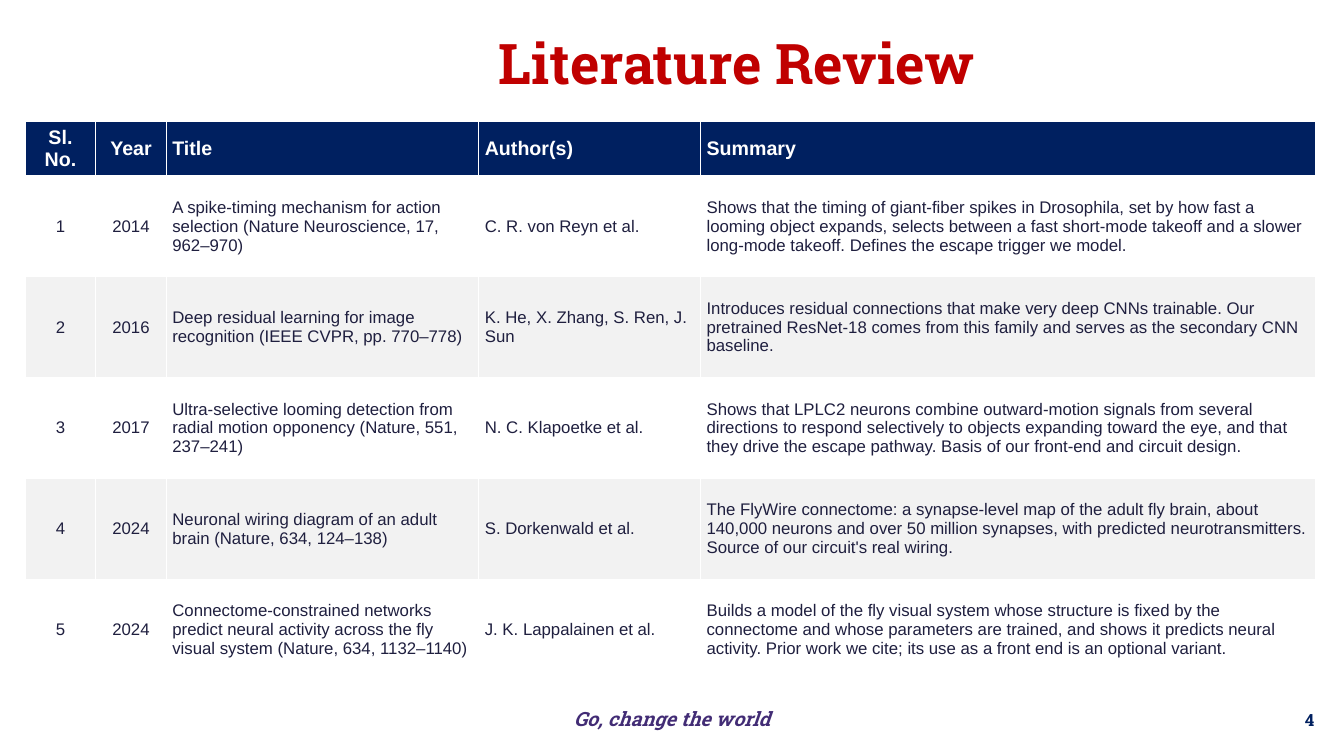
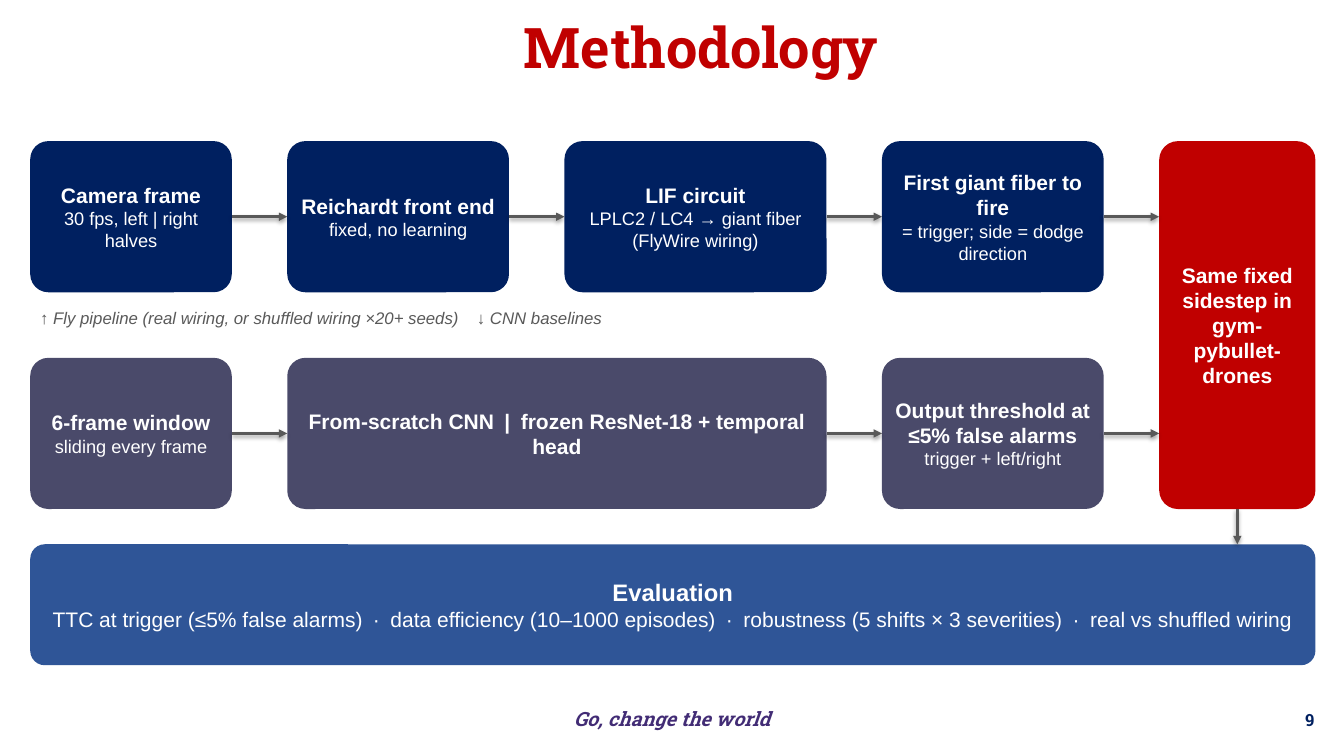
from lxml import etree
from pptx import Presentation
from pptx.dml.color import RGBColor
from pptx.enum import dml, shapes, text
from pptx.oxml.ns import qn
from pptx.util import Pt

NAVY = RGBColor(0x00, 0x20, 0x60)
RED = RGBColor(0xC0, 0x00, 0x00)
SLATE = RGBColor(0x4A, 0x4A, 0x6A)
BLUE = RGBColor(0x2F, 0x55, 0x97)
PURPLE = RGBColor(0x42, 0x2C, 0x75)
GREY = RGBColor(0x59, 0x59, 0x59)
INK = RGBColor(0x1F, 0x1F, 0x3F)
PALE = RGBColor(0xF2, 0xF2, 0xF2)
WHITE = RGBColor(0xFF, 0xFF, 0xFF)

BODY_FONT = "Arial"
DISPLAY_FONT = "Roboto Slab"
LEFT, CENTER, RIGHT = text.PP_ALIGN.LEFT, text.PP_ALIGN.CENTER, text.PP_ALIGN.RIGHT
EN_SPACE = chr(0x2002)

COLUMN_WIDTHS = (50.4, 50.4, 223.2, 158.4, 439.2)
COLUMN_ALIGNMENTS = (CENTER, CENTER, LEFT, LEFT, LEFT)
HEADER_HEIGHT, ROW_HEIGHT = 32.4, 72
PAPERS = (
    ("Sl. No.", "Year", "Title", "Author(s)", "Summary"),
    ("1", "2014",
     "A spike-timing mechanism for action selection (Nature Neuroscience, 17, 962–970)",
     "C. R. von Reyn et al.",
     "Shows that the timing of giant-fiber spikes in Drosophila, set by how fast a looming "
     "object expands, selects between a fast short-mode takeoff and a slower long-mode "
     "takeoff. Defines the escape trigger we model."),
    ("2", "2016",
     "Deep residual learning for image recognition (IEEE CVPR, pp. 770–778)",
     "K. He, X. Zhang, S. Ren, J. Sun",
     "Introduces residual connections that make very deep CNNs trainable. Our pretrained "
     "ResNet-18 comes from this family and serves as the secondary CNN baseline."),
    ("3", "2017",
     "Ultra-selective looming detection from radial motion opponency (Nature, 551, 237–241)",
     "N. C. Klapoetke et al.",
     "Shows that LPLC2 neurons combine outward-motion signals from several directions to "
     "respond selectively to objects expanding toward the eye, and that they drive the "
     "escape pathway. Basis of our front-end and circuit design."),
    ("4", "2024",
     "Neuronal wiring diagram of an adult brain (Nature, 634, 124–138)",
     "S. Dorkenwald et al.",
     "The FlyWire connectome: a synapse-level map of the adult fly brain, about 140,000 "
     "neurons and over 50 million synapses, with predicted neurotransmitters. Source of our "
     "circuit's real wiring."),
    ("5", "2024",
     "Connectome-constrained networks predict neural activity across the fly visual system "
     "(Nature, 634, 1132–1140)",
     "J. K. Lappalainen et al.",
     "Builds a model of the fly visual system whose structure is fixed by the connectome and "
     "whose parameters are trained, and shows it predicts neural activity. Prior work we "
     "cite; its use as a front end is an optional variant."),
)


def separated(mark, *parts):
    return f"{EN_SPACE}{mark}{EN_SPACE}".join(parts)


STEP_GAP, STEP_HEIGHT = 39.6, 108
FLY_STEPS = (
    (144, "Camera frame", "30 fps, left | right halves"),
    (158.4, "Reichardt front end", "fixed, no learning"),
    (187.2, "LIF circuit", "LPLC2 / LC4 → giant fiber (FlyWire wiring)"),
    (158.4, "First giant fiber to fire", "= trigger; side = dodge direction"),
)
CNN_STEPS = (
    (144, "6-frame window", "sliding every frame"),
    (385.2, separated("|", "From-scratch CNN", "frozen ResNet-18 + temporal head"), None),
    (158.4, "Output threshold at ≤5% false alarms", "trigger + left/right"),
)
EVALUATION = separated(
    "·",
    "TTC at trigger (≤5% false alarms)",
    "data efficiency (10–1000 episodes)",
    "robustness (5 shifts × 3 severities)",
    "real vs shuffled wiring",
)


def points(*lengths):
    return [Pt(length) for length in lengths]


def style(paragraph, size, colour, font=BODY_FONT, align=LEFT, bold=False, italic=False):
    paragraph.alignment = align
    paragraph.font.size = Pt(size)
    paragraph.font.name = font
    paragraph.font.bold = bold
    paragraph.font.italic = italic
    paragraph.font.color.rgb = colour


def set_margins(owner, horizontal, vertical):
    owner.margin_left = owner.margin_right = Pt(horizontal)
    owner.margin_top = owner.margin_bottom = Pt(vertical)


def add_text(slide, box, wording, size, colour, tab=None, **options):
    shape = slide.shapes.add_textbox(*points(*box))
    frame = shape.text_frame
    frame.word_wrap = True
    frame.text = wording
    paragraph = frame.paragraphs[0]
    paragraph.alignment = LEFT
    if tab:
        tabs = etree.SubElement(shape.element.find(".//" + qn("a:pPr")), qn("a:tabLst"))
        etree.SubElement(tabs, qn("a:tab"), pos=str(Pt(tab)), algn="l")
    style(paragraph, size, colour, **options)
    return shape


def add_slogan(layout, slide):
    """Put the slogan on the layout, in place of its unused placeholders."""
    for placeholder in list(layout.placeholders):
        if placeholder.placeholder_format.idx:
            placeholder.element.getparent().remove(placeholder.element)
    slogan = add_text(slide, (398, 504.6, 164, 17.5), "Go, change the world", 14, PURPLE,
                      font=DISPLAY_FONT, align=CENTER, bold=True, italic=True)
    set_margins(slogan.text_frame, 0, 0.5)
    layout.shapes.element.append(slogan.element)


def add_titled_slide(presentation, layout, title_box, title, number):
    slide = presentation.slides.add_slide(layout)
    placeholder = slide.shapes.title
    placeholder.left, placeholder.top, placeholder.width, placeholder.height = points(*title_box)
    placeholder.fill.solid()
    placeholder.fill.fore_color.rgb = WHITE
    placeholder.line.color.rgb = WHITE
    placeholder.line.width = Pt(0.75)
    placeholder.line.dash_style = dml.MSO_LINE.DASH
    frame = placeholder.text_frame
    frame.text = title
    frame.vertical_anchor = text.MSO_ANCHOR.MIDDLE
    style(frame.paragraphs[0], 40, RED, font=DISPLAY_FONT, align=CENTER, bold=True)
    page = add_text(slide, (730, 499.7, 216, 28.8), number, 12, NAVY,
                    font=DISPLAY_FONT, align=RIGHT, bold=True)
    page.text_frame.vertical_anchor = text.MSO_ANCHOR.MIDDLE
    return slide


def add_paper_table(slide, left, top):
    height = HEADER_HEIGHT + ROW_HEIGHT * (len(PAPERS) - 1)
    table = slide.shapes.add_table(
        len(PAPERS), len(COLUMN_WIDTHS),
        *points(left, top, sum(COLUMN_WIDTHS), height)).table
    table.horz_banding = False
    for column, width in zip(table.columns, COLUMN_WIDTHS):
        column.width = Pt(width)
    for index, paper in enumerate(PAPERS):
        header = index == 0
        table.rows[index].height = Pt(HEADER_HEIGHT if header else ROW_HEIGHT)
        fill = NAVY if header else WHITE if index % 2 else PALE
        size, colour = (14, WHITE) if header else (12, INK)
        for column, (wording, align) in enumerate(zip(paper, COLUMN_ALIGNMENTS)):
            cell = table.cell(index, column)
            cell.text = wording
            cell.vertical_anchor = text.MSO_ANCHOR.MIDDLE
            set_margins(cell, 4.32, 2.88)
            cell.fill.solid()
            cell.fill.fore_color.rgb = fill
            style(cell.text_frame.paragraphs[0], size, colour, align=align, bold=header)


def add_block(slide, box, fill, heading, detail=None, heading_size=15, detail_size=13):
    block = slide.shapes.add_shape(shapes.MSO_SHAPE.ROUNDED_RECTANGLE, *points(*box))
    block.adjustments[0] = 0.12
    block.shadow.inherit = False
    block.fill.solid()
    block.fill.fore_color.rgb = fill
    block.line.fill.background()
    frame = block.text_frame
    frame.word_wrap = True
    frame.vertical_anchor = text.MSO_ANCHOR.MIDDLE
    set_margins(frame, 5.76, 3.6)
    frame.text = heading
    style(frame.paragraphs[0], heading_size, WHITE, align=CENTER, bold=True)
    if detail:
        paragraph = frame.add_paragraph()
        paragraph.text = detail
        style(paragraph, detail_size, WHITE, align=CENTER)
    return block


def add_arrow(slide, source, side, end, target=None):
    """Join a side of the source to the end point, or to the target's left side."""
    arrow = slide.shapes.add_connector(shapes.MSO_CONNECTOR.STRAIGHT, 0, 0, *end)
    arrow.begin_connect(source, side)
    if target is not None:
        arrow.end_connect(target, 1)
    arrow.line.width = Pt(2)
    arrow.line.color.rgb = GREY
    properties = arrow.element.spPr
    etree.SubElement(properties.find(qn("a:ln")), qn("a:tailEnd"), type="triangle")
    effects = etree.SubElement(properties, qn("a:effectLst"))
    shadow = etree.SubElement(effects, qn("a:outerShdw"), blurRad="40000", dist="20000",
                              dir="5400000", rotWithShape="0")
    black = etree.SubElement(shadow, qn("a:srgbClr"), val="000000")
    etree.SubElement(black, qn("a:alpha"), val="38000")


def add_step_row(slide, left, top, fill, steps):
    """Draw the linked steps and return the last one."""
    previous = None
    for width, heading, detail in steps:
        block = add_block(slide, (left, top, width, STEP_HEIGHT), fill, heading, detail)
        if previous is not None:
            add_arrow(slide, previous, 3, (block.left, block.top + block.height // 2), block)
        previous = block
        left += width + STEP_GAP
    return previous


def add_pipeline(slide, left, top, width):
    row_offset, action_width = 154.8, 111.6
    last_steps = (
        add_step_row(slide, left, top, NAVY, FLY_STEPS),
        add_step_row(slide, left, top + row_offset, SLATE, CNN_STEPS),
    )
    action_height = row_offset + STEP_HEIGHT
    action = add_block(
        slide, (left + width - action_width, top, action_width, action_height), RED,
        "Same fixed sidestep in gym-pybullet-drones")
    for step in last_steps:
        add_arrow(slide, step, 3, (action.left, step.top + step.height // 2))

    add_text(slide, (left, top + 115.2, 576, 28.8),
             "↑ Fly pipeline (real wiring, or shuffled wiring ×20+ seeds)\t↓ CNN baselines",
             12, GREY, tab=312, italic=True)

    evaluation = add_block(slide, (left, top + 288, width, 86.4), BLUE,
                           "Evaluation", EVALUATION, heading_size=17, detail_size=15)
    add_arrow(slide, action, 2, (action.left + action.width // 2, evaluation.top))


def main():
    presentation = Presentation()
    presentation.slide_width, presentation.slide_height = points(960, 540)
    layout = presentation.slide_layouts.get_by_name("Title Only")

    review = add_titled_slide(presentation, layout, (135, 7.2, 782.6, 74.2),
                              "Literature Review", "4")
    add_slogan(layout, review)
    add_paper_table(review, 18, 86.4)

    methodology = add_titled_slide(presentation, layout, (180, 0, 641.5, 66.2),
                                   "Methodology", "9")
    add_pipeline(methodology, 21.6, 100.8, 918)

    presentation.save("out.pptx")


if __name__ == "__main__":
    main()
